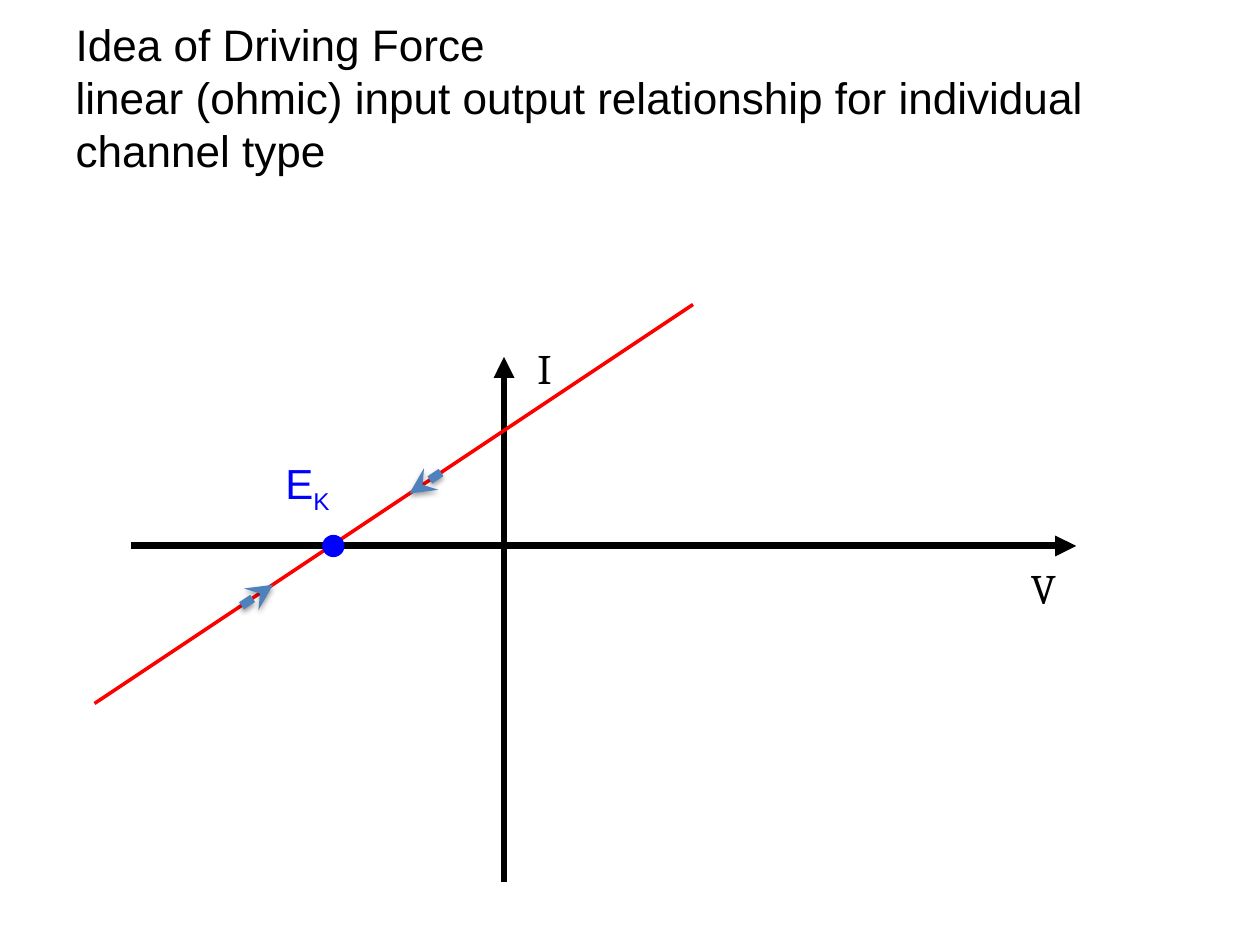
from lxml import etree
from pptx import Presentation
from pptx import util as u
from pptx.dml.color import RGBColor
from pptx.enum import shapes, text
from pptx.oxml import parse_xml
from pptx.oxml.ns import nsdecls, qn

COLORS = {"ink": "000000", "current": "FF0000", "potential": "0000FF", "force": "4F81BD"}
CELL = u.Inches(10) / 120
SHADOW = (
    f'<a:effectLst {nsdecls("a")}><a:outerShdw blurRad="39370" dist="20320" dir="5400000" '
    'rotWithShape="0"><a:srgbClr val="000000"><a:alpha val="38000"/></a:srgbClr>'
    "</a:outerShdw></a:effectLst>"
)


def rgb(name):
    """Return the named palette colour."""
    return RGBColor.from_string(COLORS[name])


def cells(*values):
    """Convert grid cells to slide lengths."""
    return [u.Emu(round(v * CELL)) for v in values]


def add_run(p, words, size, font, color, baseline=None):
    """Add one formatted run, raised or lowered by baseline."""
    r = p.add_run()
    r.text = words
    r.font.size, r.font.name = u.Pt(size), font
    r.font.color.rgb = rgb(color)
    if baseline:
        r._r.get_or_add_rPr().set("baseline", str(baseline))


def add_line(s, start, end, color, width, head=None, shadow=False):
    """Draw a straight line with an optional arrowhead and shadow."""
    line = s.shapes.add_connector(shapes.MSO_CONNECTOR.STRAIGHT, *cells(*start, *end))
    line.line.color.rgb = rgb(color)
    line.line.width = u.Pt(width)
    if head:
        etree.SubElement(line.line._get_or_add_ln(), qn("a:tailEnd"), type=head)
    effects = SHADOW if shadow else f'<a:effectLst {nsdecls("a")}/>'
    line._element.spPr.append(parse_xml(effects))


def add_label(s, x, y, width, runs):
    """Place an unwrapped label made of runs."""
    sp = s.shapes.add_textbox(*cells(x, y, width, 6.1))
    tf = sp.text_frame
    tf.word_wrap = False
    tf.auto_size = text.MSO_AUTO_SIZE.SHAPE_TO_FIT_TEXT
    for run in runs:
        add_run(tf.paragraphs[0], *run)


def add_title(s, x, y, width, height):
    """Fill the title placeholder with the heading and its explanation."""
    sp = s.shapes.title
    sp.left, sp.top, sp.width, sp.height = cells(x, y, width, height)
    tf = sp.text_frame
    tf.word_wrap = True
    tf.auto_size = text.MSO_AUTO_SIZE.NONE
    tf.vertical_anchor = text.MSO_ANCHOR.MIDDLE
    p = tf.paragraphs[0]
    p.alignment = text.PP_ALIGN.LEFT
    p.line_spacing = u.Pt(30.3)
    add_run(p, "Idea of Driving Force", 25.2, "Arial", "ink")
    p.add_line_break()
    add_run(p, "linear (ohmic) input output relationship for individual channel type",
            25.2, "Arial", "ink")


def add_plot(s, x, y, width, height):
    """Draw the current-voltage line and its driving forces inside a box."""
    x0, y0 = x + 39, y + 23
    add_line(s, (x + 3.5, y0), (x + width, y0), "ink", 4, "triangle")
    add_line(s, (x0, y + height), (x0, y + 5), "ink", 4, "triangle")
    add_line(s, (x, y + 38), (x + 57, y), "current", 2)
    add_label(s, x0 + 2, y + 3, 3.7, [("I", 24, "Cambria", "ink")])
    add_label(s, x0 + 49, y0 + 1, 5.3, [("V", 24, "Cambria", "ink")])
    for dx, dy, step in ((-6, -7, -1), (-25, 5.7, 1)):
        start = x0 + dx, y0 + dy
        end = start[0] + 3 * step, start[1] - 2 * step
        add_line(s, start, end, "force", 5, "stealth", shadow=True)
    dot = s.shapes.add_shape(shapes.MSO_SHAPE.OVAL, *cells(x0 - 17.25, y0 - 1, 2, 2))
    dot.shadow.inherit = False
    dot.fill.solid()
    dot.fill.fore_color.rgb = dot.line.color.rgb = rgb("potential")
    dot.line.width = u.Pt(0.75)
    add_label(s, x0 - 22, y0 - 9, 7, [("E", 24, "Arial", "potential"),
                                      ("K", 24, "Arial", "potential", -25000)])


def main():
    """Build and save the slide."""
    prs = Presentation()
    prs.slide_width, prs.slide_height = cells(120, 90)
    s = prs.slides.add_slide(prs.slide_layouts[5])
    add_title(s, 6, 1.7, 108, 15)
    add_plot(s, 9, 29, 93.5, 55)
    prs.save("out.pptx")


if __name__ == "__main__":
    main()
